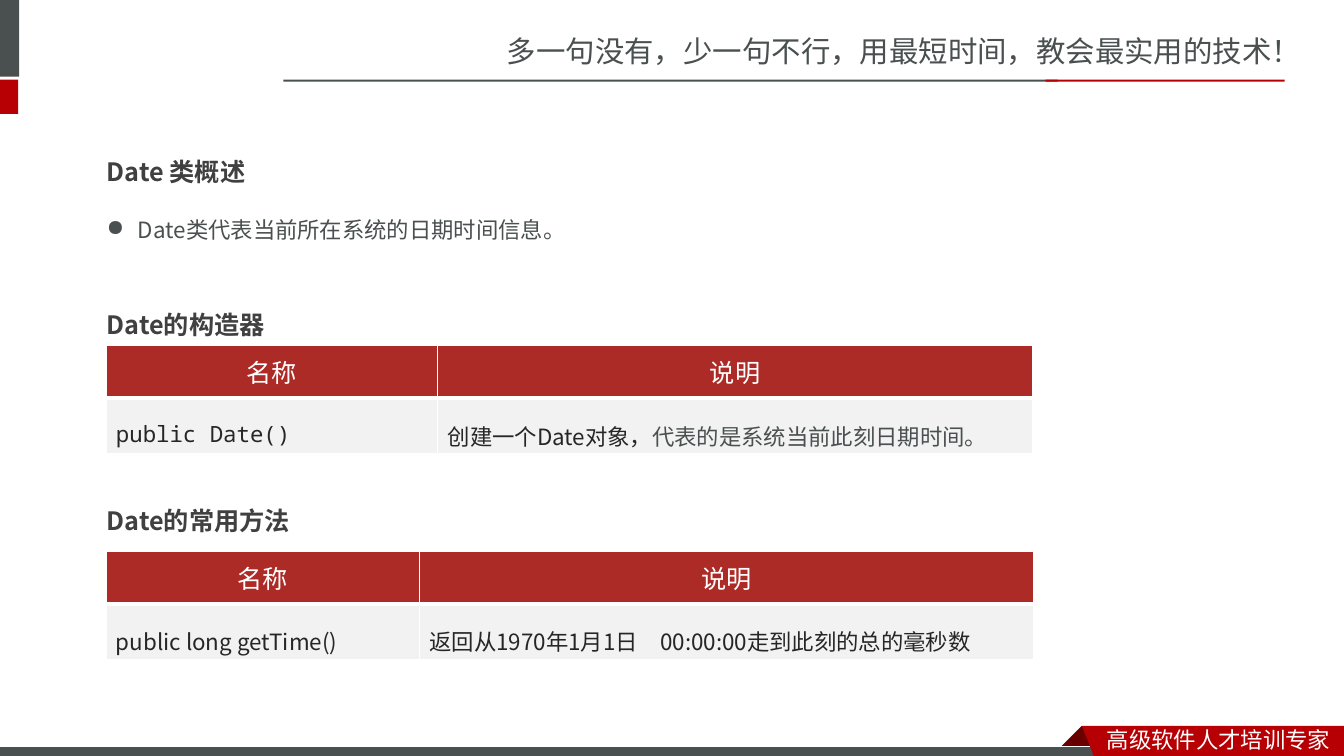
from dataclasses import dataclass

from lxml import etree
from pptx import Presentation
from pptx.dml.color import RGBColor
from pptx.enum.shapes import MSO_SHAPE
from pptx.enum.text import MSO_ANCHOR, MSO_AUTO_SIZE, PP_ALIGN
from pptx.oxml.ns import qn
from pptx.util import Inches, Pt

RECT = MSO_SHAPE.RECTANGLE
MIDDLE = MSO_ANCHOR.MIDDLE
GROW = MSO_AUTO_SIZE.SHAPE_TO_FIT_TEXT
CENTER = PP_ALIGN.CENTER


@dataclass(frozen=True)
class Theme:
    slate: str = "49504F"
    red: str = "B60004"
    fold: str = "680000"
    heading: str = "404040"
    header: str = "AD2B26"
    row: str = "F2F2F2"
    ink: str = "262626"
    white: str = "FFFFFF"
    slogan_pt: int = 21
    heading_pt: int = 18
    body_pt: int = 16
    sc: str = "Noto Sans CJK SC"
    jp: str = "Noto Sans CJK JP"
    mono: str = "Noto Sans Mono"
    roboto: str = "Roboto"


class SlideBuilder:
    """Draws themed elements placed in percent of the slide's width and height."""

    def __init__(self, prs, theme):
        self.prs = prs
        self.theme = theme
        self.s = prs.slides.add_slide(prs.slide_layouts[6])

    def x(self, share):
        return round(self.prs.slide_width * share / 100)

    def y(self, share):
        return round(self.prs.slide_height * share / 100)

    def box(self, left, top, width, height):
        return self.x(left), self.y(top), self.x(width), self.y(height)

    def paint(self, sp, color, line=None):
        sp.shadow.inherit = False
        sp.fill.solid()
        sp.fill.fore_color.rgb = RGBColor.from_string(color)
        if line:
            sp.line.color.rgb = RGBColor.from_string(line)
            sp.line.width = Pt(0.75)
        else:
            sp.line.fill.background()

    def rect(self, place, color, line=None):
        self.paint(self.s.shapes.add_shape(RECT, *self.box(*place)), color, line)

    def polygon(self, points, color):
        start, *rest = [(self.x(px), self.y(py)) for px, py in points]
        builder = self.s.shapes.build_freeform(*start)
        builder.add_line_segments(rest, close=True)
        self.paint(builder.convert_to_shape(), color)

    def style(self, r, size, font, color, bold=False):
        r.font.size = Pt(size)
        r.font.bold = bold
        r.font.name = font
        r.font.color.rgb = RGBColor.from_string(color)
        etree.SubElement(r.font._element, qn("a:ea"), typeface=font)

    def text(self, place, text, size, font, color, bold=False, spacing=1.0, bullet=None):
        tf = self.s.shapes.add_textbox(*self.box(*place)).text_frame
        tf.word_wrap = True
        tf.auto_size = GROW
        tf.text = text
        p = tf.paragraphs[0]
        if bullet:
            pPr = p._p.get_or_add_pPr()
            pPr.set("marL", str(Inches(0.31)))
            pPr.set("indent", str(-Inches(0.31)))
            etree.SubElement(pPr, qn("a:buChar"), char=bullet)
        p.line_spacing = spacing
        self.style(p.runs[0], size, font, color, bold)

    def heading(self, top, width, text):
        t = self.theme
        self.text((7.2, top, width, 8.4), text, t.heading_pt, t.jp, t.heading, True, 2.0)

    def cell(self, cell, runs, size, fill, spacing, widths, align=None):
        cell.fill.solid()
        cell.fill.fore_color.rgb = RGBColor.from_string(fill)
        cell.vertical_anchor = MIDDLE
        p = cell.text_frame.paragraphs[0]
        p.alignment = align
        p.line_spacing = spacing
        for text, font, color in runs:
            r = p.add_run()
            r.text = text
            self.style(r, size, font, color)
        tcPr = cell._tc.get_or_add_tcPr()
        for i, (side, width) in enumerate(zip("LRTB", widths)):
            ln = etree.Element(qn(f"a:ln{side}"), w=str(Pt(width)))
            solid = etree.SubElement(ln, qn("a:solidFill"))
            etree.SubElement(solid, qn("a:srgbClr"), val=self.theme.white)
            tcPr.insert(i, ln)

    def table(self, top, columns, entries):
        t = self.theme
        rows = (6.93, 7.33)
        place = self.box(7.88, top, sum(columns), sum(rows))
        table = self.s.shapes.add_table(2, 2, *place).table
        table.horz_banding = False
        for row, height in zip(table.rows, rows):
            row.height = self.y(height)
        for i, (width, title, runs) in enumerate(zip(columns, ("名称", "说明"), entries)):
            table.columns[i].width = self.x(width)
            self.cell(table.cell(0, i), [(title, t.roboto, t.white)], t.heading_pt,
                      t.header, Pt(24), (1, 1, 1, 3), CENTER)
            self.cell(table.cell(1, i), runs, t.body_pt, t.row, 1.5, (1, 1, 3, 1))


def main():
    prs = Presentation()
    prs.slide_width, prs.slide_height = Inches(13.33), Inches(7.5)
    t = Theme()
    b = SlideBuilder(prs, t)

    b.text((36.98, 3.73, 63.02, 6.27), "多一句没有，少一句不行，用最短时间，教会最实用的技术！",
           t.slogan_pt, t.sc, t.slate)
    b.rect((-0.45, 0, 1.88, 10.13), t.slate)
    b.rect((-0.45, 10.53, 1.8, 4.53), t.red)
    b.rect((21.08, 10.53, 57.61, 0.27), t.slate)
    b.rect((77.8, 10.53, 17.78, 0.27), t.red)

    b.polygon([(80.5, 96), (82.15, 98.93), (82.07, 99.07), (78.92, 99.07), (78.84, 98.93)], t.fold)
    b.rect((-0.08, 98.8, 82.52, 1.6), t.slate, t.white)
    b.polygon([(80.5, 96), (100, 96), (100, 100.5), (81.47, 100.4)], t.red)
    b.text((81.62, 95.33, 18.38, 4.93), "高级软件人才培训专家", t.body_pt, t.sc, t.white)

    b.heading(16, 38.41, "Date 类概述")
    b.text((7.2, 24.4, 54.39, 7.6), "Date类代表当前所在系统的日期时间信息。",
           t.body_pt, t.jp, t.slate, spacing=2.0, bullet="●")

    b.heading(36.27, 50.04, "Date的构造器")
    b.table(45.73, (24.68, 44.26), [
        [("public Date()", t.mono, t.ink)],
        [("创建一个Date对象，", t.sc, t.ink), ("代表的是系统当前此刻日期时间。", t.sc, t.slate)],
    ])

    b.heading(62.13, 33.98, "Date的常用方法")
    b.table(72.93, (23.33, 45.69), [
        [("public long getTime()", t.sc, t.ink)],
        [("返回从1970年1月1日　00:00:00走到此刻的总的毫秒数", t.jp, t.ink)],
    ])

    prs.save("out.pptx")


if __name__ == "__main__":
    main()
